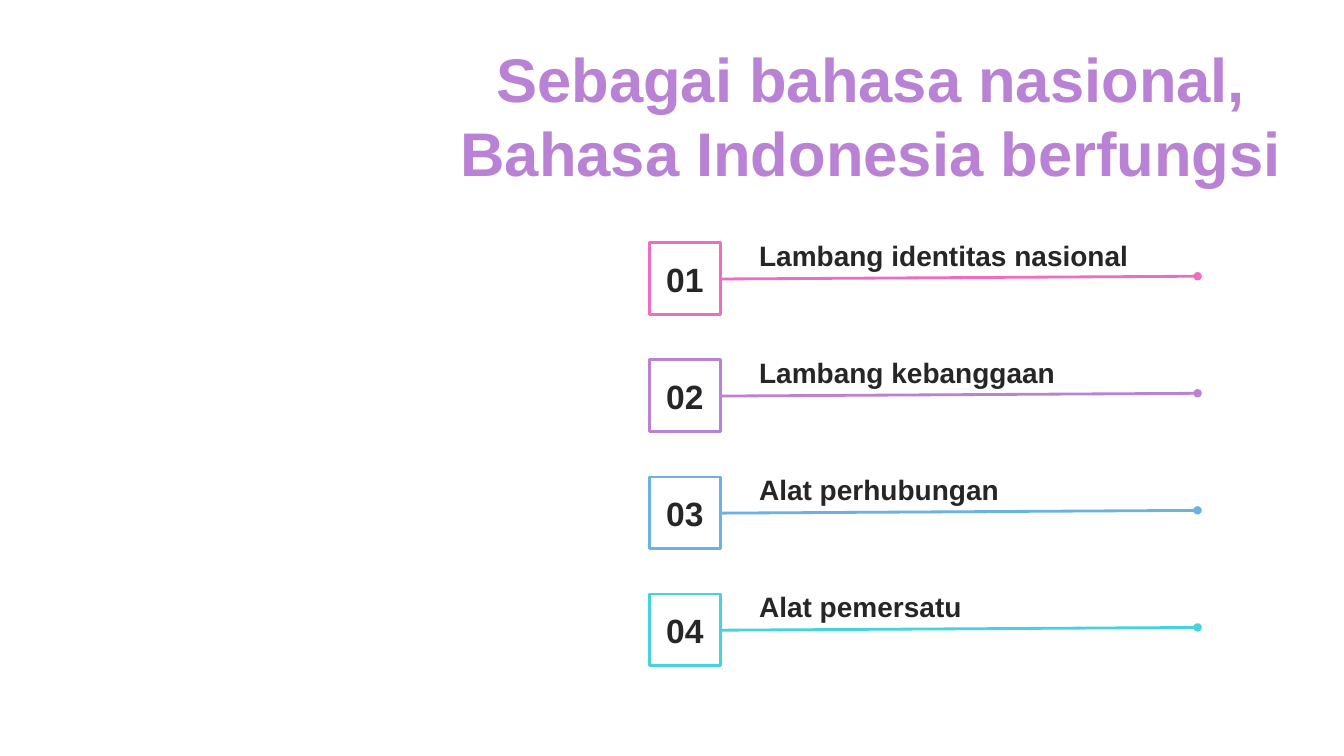
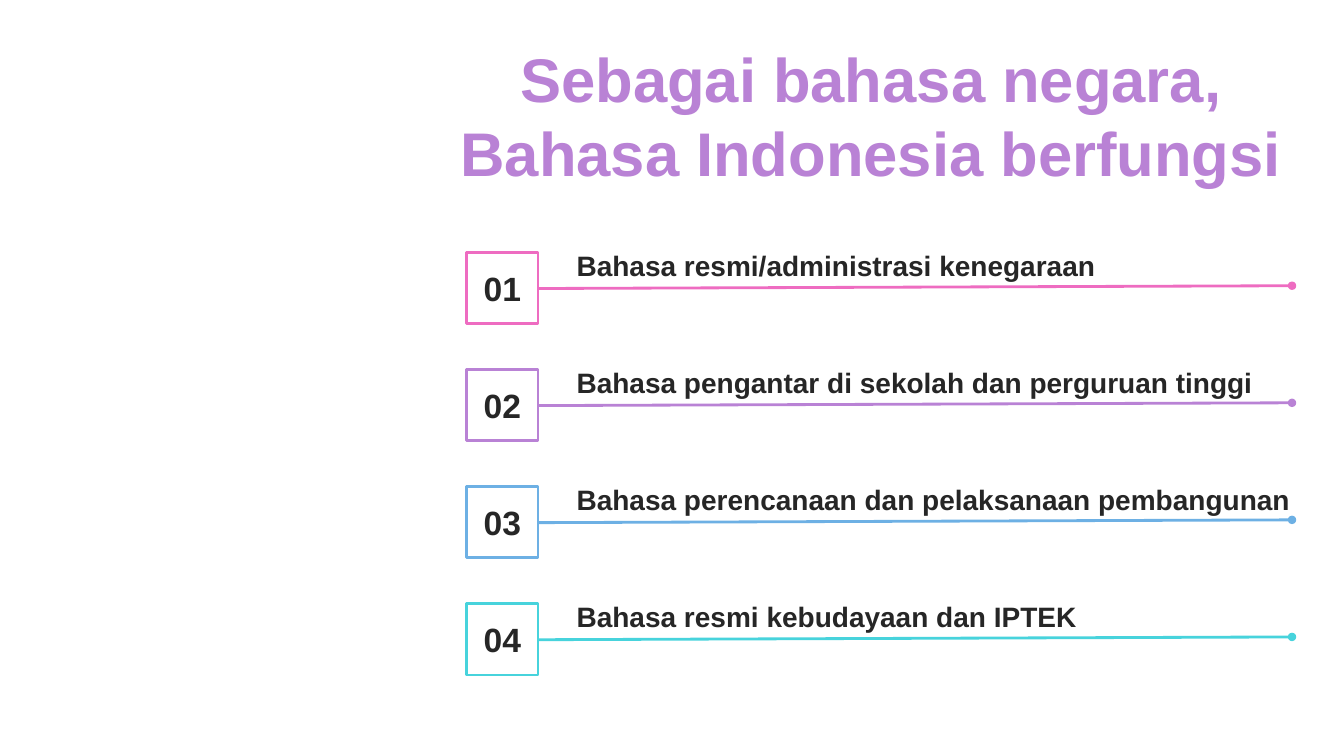
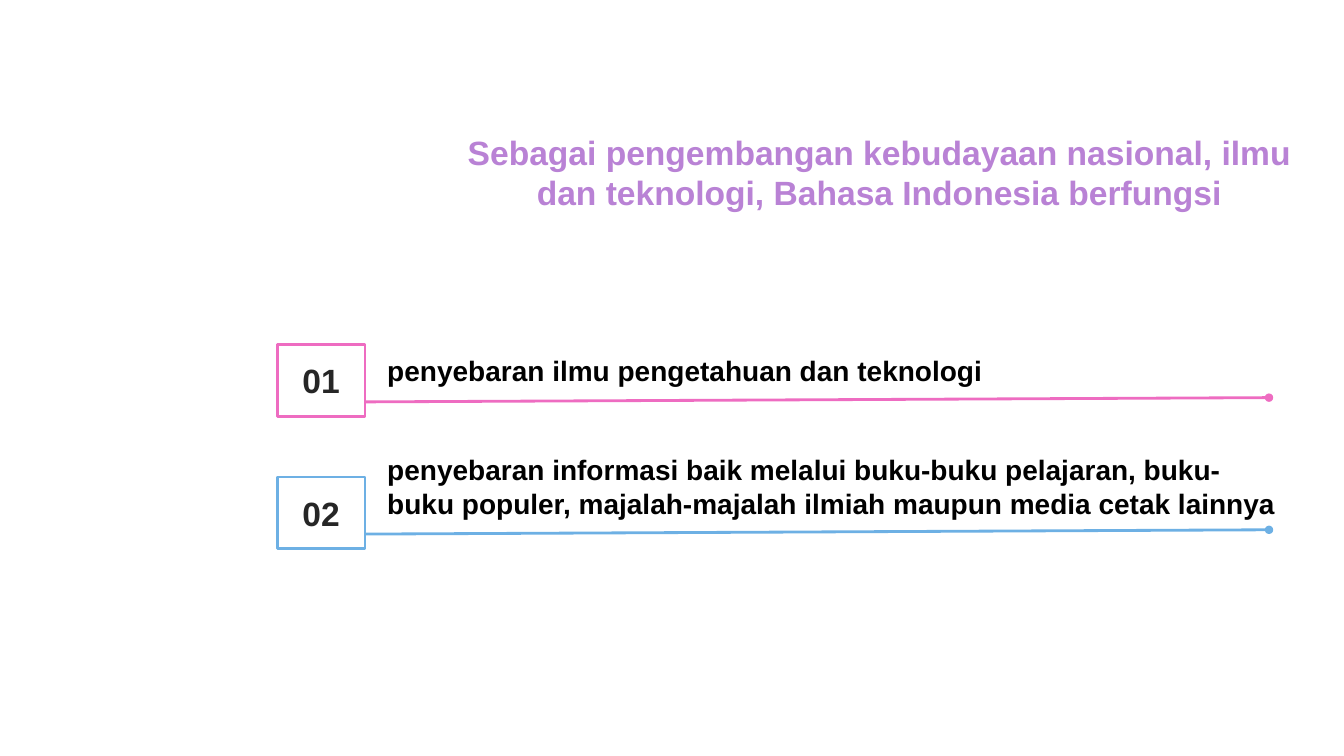
import pptx
import pptx.dml.color
import pptx.enum.shapes
import pptx.enum.text
import pptx.oxml.ns
import pptx.util
from lxml import etree

Cm, Pt = pptx.util.Cm, pptx.util.Pt
ALIGN = pptx.enum.text.PP_ALIGN
ANCHOR = pptx.enum.text.MSO_ANCHOR

# Shared style
FONT = "Arial"
COLORS = {"pink": "EE6CC1", "purple": "B982D5", "blue": "6DB0E4", "teal": "47D3DC",
          "dark": "262626", "black": "000000", "white": "FFFFFF"}
BOX_H = 1.8
LINE_START = 1.8


def rgb(name):
    return pptx.dml.color.RGBColor.from_string(COLORS[name])


class Deck:
    def __init__(self):
        self.prs = pptx.Presentation()
        self.prs.slide_width, self.prs.slide_height = Cm(33.87), Cm(19.05)
        self.s = None

    def add_text(self, tf, text, size, color, align, anchor):
        tf.word_wrap = True
        tf.auto_size = pptx.enum.text.MSO_AUTO_SIZE.NONE
        tf.vertical_anchor = anchor
        p = tf.paragraphs[0]
        p.alignment = align
        r = p.add_run()
        r.text = text
        r.font.name, r.font.size, r.font.bold = FONT, Pt(size), True
        r.font.color.rgb = rgb(color)

    def slide(self, title, size, left, top, height):
        self.s = self.prs.slides.add_slide(self.prs.slide_layouts[5])
        sp = self.s.shapes.title
        sp.left, sp.top, sp.width, sp.height = Cm(left), Cm(top), Cm(22.68), Cm(height)
        self.add_text(sp.text_frame, title, size, "purple", ALIGN.CENTER, ANCHOR.MIDDLE)

    def label(self, text, left, bottom, width, height, color):
        sp = self.s.shapes.add_textbox(Cm(left), Cm(bottom - height), Cm(width), Cm(height))
        tf = sp.text_frame
        tf.margin_left = tf.margin_right = Cm(0.3)
        self.add_text(tf, text, 20, color, ALIGN.LEFT, ANCHOR.TOP)

    def rule(self, x1, y1, x2, y2, color):
        sp = self.s.shapes.add_connector(pptx.enum.shapes.MSO_CONNECTOR.STRAIGHT,
                                         Cm(x1), Cm(y1), Cm(x2), Cm(y2))
        sp.line.color.rgb, sp.line.width = rgb(color), Pt(2)
        # Oval end, no shadow
        qn = pptx.oxml.ns.qn
        ln = sp._element.spPr.find(qn("a:ln"))
        etree.SubElement(ln, qn("a:tailEnd"), type="oval")
        etree.SubElement(sp._element.spPr, qn("a:effectLst"))

    def box(self, text, left, top, width, color):
        sp = self.s.shapes.add_shape(pptx.enum.shapes.MSO_SHAPE.RECTANGLE,
                                     Cm(left), Cm(top), Cm(width), Cm(BOX_H))
        sp.shadow.inherit = False
        sp.fill.solid()
        sp.fill.fore_color.rgb = rgb("white")
        sp.line.color.rgb, sp.line.width = rgb(color), Pt(2)
        self.add_text(sp.text_frame, text, 24, "dark", ALIGN.CENTER, ANCHOR.MIDDLE)

    def numbered(self, items, colors, left, top, step, line_end, box_w=1.8,
                 label_bottom=0.89, line_drop=0.91, rise=0.07, text_color="dark"):
        """Rows of a numbered box, a label and a line under the label."""
        for i, ((text, width, height), color) in enumerate(zip(items, colors)):
            y = top + i * step
            self.label(text, left + 2.47, y + label_bottom, width, height, text_color)
            self.rule(left + LINE_START, y + line_drop,
                      line_end, y + line_drop - rise, color)
            self.box(f"{i + 1:02d}", left, y, box_w, color)


ONE_LINE, TWO_LINES = 1.12, 1.96
FOUR = ["pink", "purple", "blue", "teal"]
deck = Deck()

# National language
deck.slide("Sebagai bahasa nasional, Bahasa Indonesia berfungsi", 44, 10.62, 0.89, 4.01)
deck.numbered([("Lambang identitas nasional", 10.92, ONE_LINE),
               ("Lambang kebanggaan", 9.7, ONE_LINE),
               ("Alat perhubungan", 9.7, ONE_LINE),
               ("Alat pemersatu", 9.7, ONE_LINE)],
              FOUR, left=16.36, top=6.12, step=2.95, line_end=30.18)

# State language
deck.slide("Sebagai bahasa negara, Bahasa Indonesia berfungsi", 44, 10.62, 0.89, 4.01)
deck.numbered([("Bahasa resmi/administrasi kenegaraan", 14.48, ONE_LINE),
               ("Bahasa pengantar di sekolah dan perguruan tinggi", 18.62, ONE_LINE),
               ("Bahasa perencanaan dan pelaksanaan pembangunan", 19.08, ONE_LINE),
               ("Bahasa resmi kebudayaan dan IPTEK", 16.76, ONE_LINE)],
              FOUR, left=11.76, top=6.36, step=2.95, line_end=32.56)

# Culture, science and technology
deck.slide("Sebagai pengembangan kebudayaan nasional, ilmu dan teknologi, "
           "Bahasa Indonesia berfungsi", 24, 10.82, 3.18, 2.31)
deck.numbered([("penyebaran ilmu pengetahuan dan teknologi", 20.75, ONE_LINE),
               ("penyebaran informasi baik melalui buku-buku pelajaran, buku-buku populer, "
                "majalah-majalah ilmiah maupun media cetak lainnya", 23.27, TWO_LINES)],
              ["pink", "blue"], left=6.99, top=8.69, step=3.33, line_end=31.98,
              box_w=2.21, label_bottom=1.22, line_drop=1.44, rise=0.11,
              text_color="black")

deck.prs.save("out.pptx")
